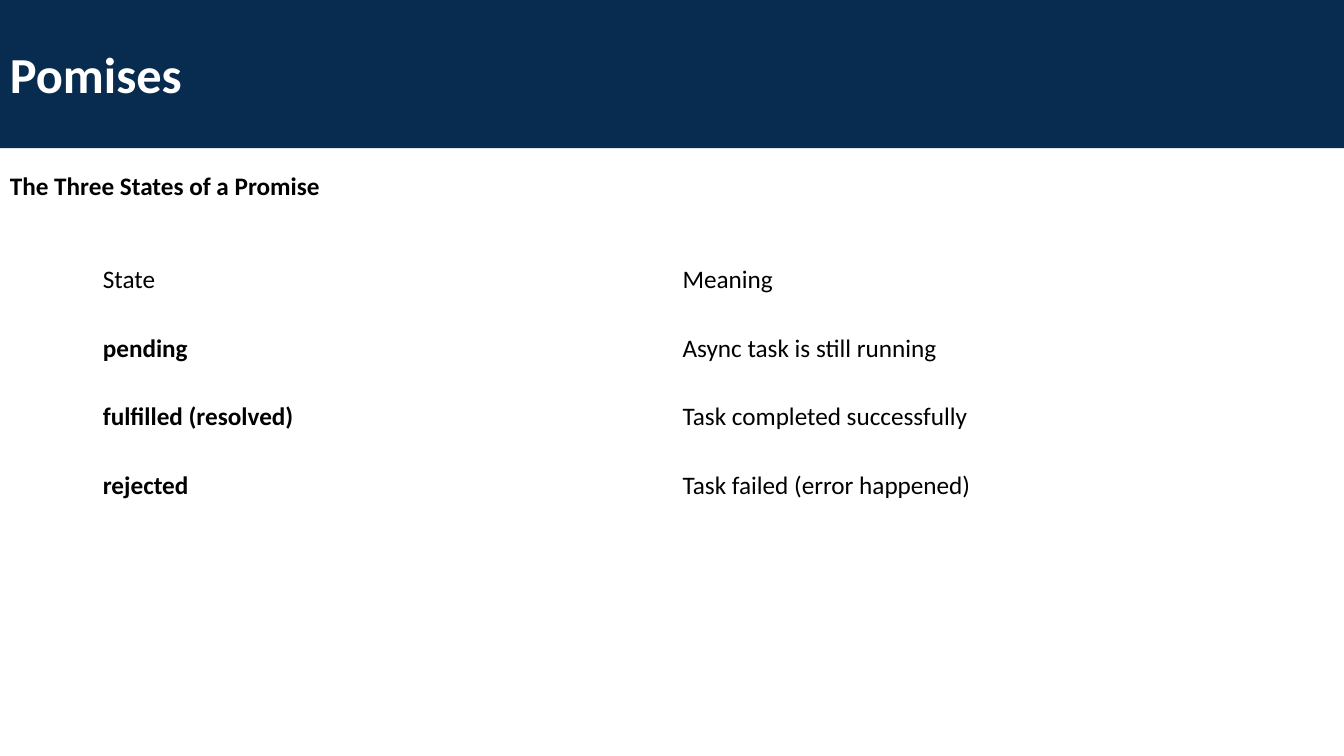
"""Build a slide listing the three states of a promise in a table."""
import dataclasses

import pptx
import pptx.dml.color
import pptx.enum.shapes
import pptx.enum.text
import pptx.slide
import pptx.text.text
import pptx.util

Inches = pptx.util.Inches
RGBColor = pptx.dml.color.RGBColor

NAVY = RGBColor(0x07, 0x2C, 0x4F)
WHITE = RGBColor(0xFF, 0xFF, 0xFF)
BLACK = RGBColor(0x00, 0x00, 0x00)
FONT_NAME = "Calibri"
SLIDE_WIDTH = Inches(13.33)
COLUMN_WIDTH = Inches(5.75)
ROW_HEIGHT = Inches(0.68)


@dataclasses.dataclass(frozen=True)
class StateRow:
    state: str
    meaning: str
    bold_state: bool = True


STATE_ROWS = [
    StateRow("State", "Meaning", bold_state=False),
    StateRow("pending", "Async task is still running"),
    StateRow("fulfilled (resolved)", "Task completed successfully"),
    StateRow("rejected", "Task failed (error happened)"),
]


def write_text(text_frame: pptx.text.text.TextFrame, text: str, size: int = 18,
               color: RGBColor = BLACK, bold: bool = False) -> None:
    text_frame.text = text
    paragraph = text_frame.paragraphs[0]
    paragraph.alignment = pptx.enum.text.PP_ALIGN.LEFT
    font = paragraph.runs[0].font
    font.name = FONT_NAME
    font.size = pptx.util.Pt(size)
    font.color.rgb = color
    font.bold = bold


def add_title_band(slide: pptx.slide.Slide, title: str) -> None:
    band = slide.shapes.add_shape(pptx.enum.shapes.MSO_SHAPE.RECTANGLE,
                                  0, Inches(-0.02), SLIDE_WIDTH, Inches(1.49))
    band.shadow.inherit = False
    band.fill.solid()
    band.fill.fore_color.rgb = NAVY
    band.line.fill.background()
    band.text_frame.vertical_anchor = pptx.enum.text.MSO_ANCHOR.MIDDLE
    write_text(band.text_frame, title, size=36, color=WHITE, bold=True)


def add_subtitle(slide: pptx.slide.Slide, subtitle: str) -> None:
    text_box = slide.shapes.add_textbox(0, Inches(1.64), Inches(6.77), Inches(0.4))
    text_box.text_frame.word_wrap = True
    text_box.text_frame.auto_size = pptx.enum.text.MSO_AUTO_SIZE.SHAPE_TO_FIT_TEXT
    write_text(text_box.text_frame, subtitle, bold=True)


def add_state_table(slide: pptx.slide.Slide, state_rows: list[StateRow]) -> None:
    table = slide.shapes.add_table(len(state_rows), 2, Inches(0.92), Inches(2.44),
                                   COLUMN_WIDTH * 2, ROW_HEIGHT * len(state_rows)).table
    table.first_row = False
    table.horz_banding = False
    for row, state_row in zip(table.rows, state_rows):
        row.height = ROW_HEIGHT
        contents = [(state_row.state, state_row.bold_state), (state_row.meaning, False)]
        for cell, (text, bold) in zip(row.cells, contents):
            cell.fill.background()
            cell.vertical_anchor = pptx.enum.text.MSO_ANCHOR.MIDDLE
            write_text(cell.text_frame, text, bold=bold)


def main() -> None:
    presentation = pptx.Presentation()
    presentation.slide_width = SLIDE_WIDTH
    presentation.slide_height = Inches(7.5)
    slide = presentation.slides.add_slide(presentation.slide_layouts[6])
    add_title_band(slide, "Pomises")
    add_subtitle(slide, "The Three States of a Promise")
    add_state_table(slide, STATE_ROWS)
    presentation.save("out.pptx")


if __name__ == "__main__":
    main()
